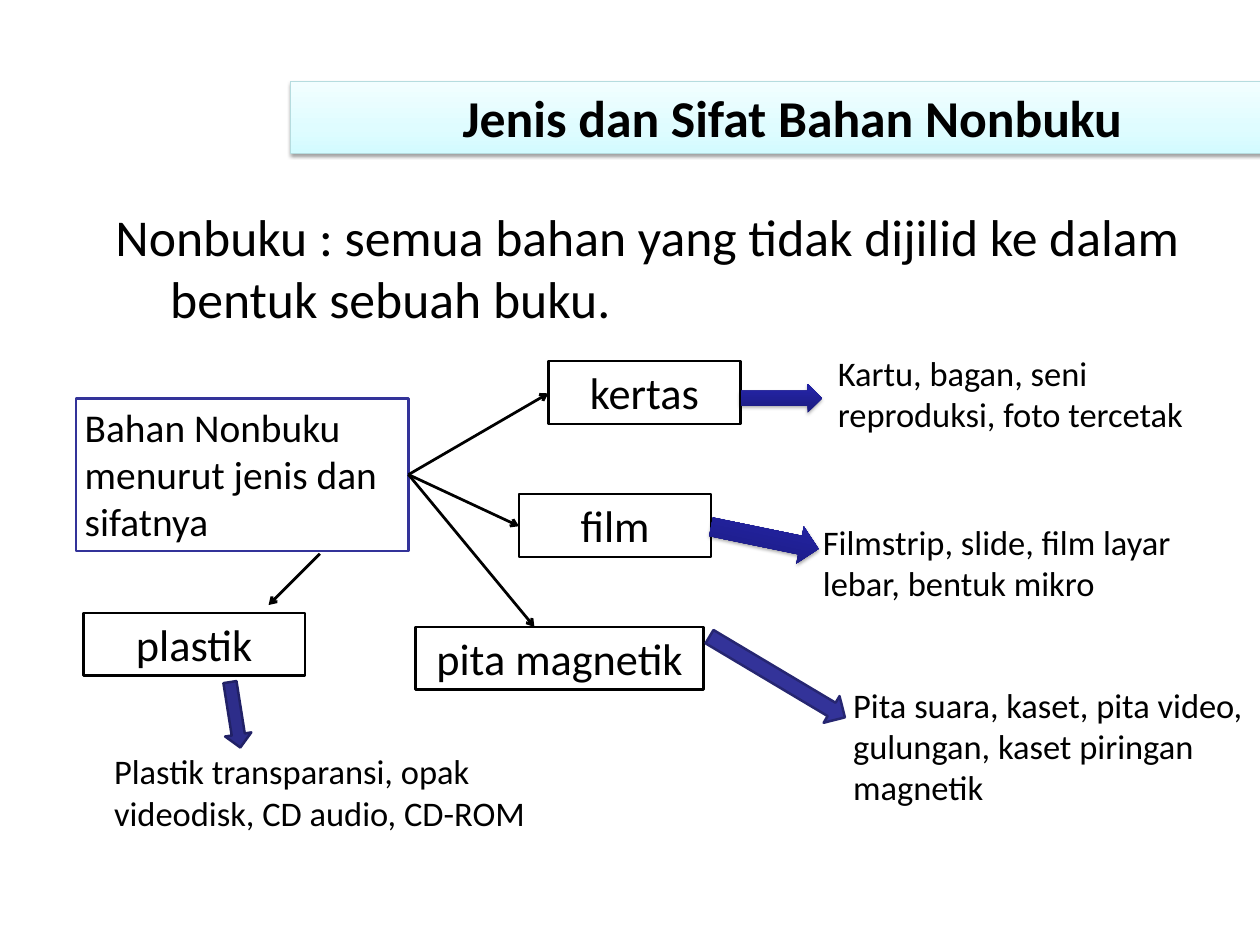
from copy import deepcopy

from lxml.etree import SubElement
from pptx import Presentation
from pptx.dml.color import RGBColor
from pptx.enum.shapes import MSO_CONNECTOR, MSO_SHAPE
from pptx.enum.text import MSO_ANCHOR, PP_ALIGN
from pptx.oxml.ns import qn
from pptx.util import Cm, Pt

FONT = "Calibri"
BLACK, WHITE, INDIGO = "000000", "FFFFFF", "333399"
PALE_CYAN = [(0, "D3FBFF"), (0.35, "DFFCFF"), (1, "F2FEFF")]
DEEP_BLUE = [(0, "1B1B7E"), (0.8, "2323A3"), (1, "2020A6")]


def color(hex_code):
    return RGBColor.from_string(hex_code)


def set_text(sp, text, size=28, bold=False, align=PP_ALIGN.LEFT):
    tf = sp.text_frame
    tf.word_wrap = True
    tf.vertical_anchor = MSO_ANCHOR.TOP
    p = tf.paragraphs[0]
    p.alignment = align
    r = p.add_run()
    r.text = text
    r.font.name = FONT
    r.font.size = Pt(size)
    r.font.bold = bold
    r.font.color.rgb = color(BLACK)
    return tf


def set_gradient(sp, stops):
    """Fill from the bottom edge to the top edge."""
    fill = sp.fill
    fill.gradient()
    fill.gradient_angle = 90
    gs_list = fill.gradient_stops[0]._gs.getparent()
    gs_list.append(deepcopy(gs_list[-1]))
    for stop, (position, hex_code) in zip(fill.gradient_stops, stops):
        stop.position = position
        stop.color.rgb = color(hex_code)


def add_shadow(sp, alpha, distance):
    effects = sp._element.spPr.find(qn("a:effectLst"))
    shadow = SubElement(effects, qn("a:outerShdw"), blurRad=str(Pt(3.1)),
                        dist=str(Pt(distance)), dir="5400000", rotWithShape="0")
    black = SubElement(shadow, qn("a:srgbClr"), val=BLACK)
    SubElement(black, qn("a:alpha"), val=str(alpha * 1000))


def add_shape(s, kind, box, fill, line=None, width=2):
    sp = s.shapes.add_shape(kind, *map(Cm, box))
    sp.shadow.inherit = False
    if isinstance(fill, list):
        set_gradient(sp, fill)
    else:
        sp.fill.solid()
        sp.fill.fore_color.rgb = color(fill)
    if line:
        sp.line.color.rgb = color(line)
        sp.line.width = Pt(width)
    else:
        sp.line.fill.background()
    return sp


def add_node(s, text, box, line=BLACK, size=36, align=PP_ALIGN.CENTER):
    sp = add_shape(s, MSO_SHAPE.RECTANGLE, box, WHITE, line)
    set_text(sp, text, size=size, align=align)


def add_label(s, text, box, **fmt):
    return set_text(s.shapes.add_textbox(*map(Cm, box)), text, **fmt)


def add_thin_arrow(s, start, end):
    line = s.shapes.add_connector(MSO_CONNECTOR.STRAIGHT, *map(Cm, start + end))
    line.line.color.rgb = color(BLACK)
    line.line.width = Pt(2.25)
    SubElement(line.line._get_or_add_ln(), qn("a:tailEnd"), type="arrow")
    SubElement(line._element.spPr, qn("a:effectLst"))


def add_block_arrow(s, box, rotation, fill, line=None):
    sp = add_shape(s, MSO_SHAPE.RIGHT_ARROW, box, fill, line)
    sp.rotation = rotation
    if not line:
        add_shadow(sp, 35, 1.8)


def main():
    prs = Presentation()
    prs.slide_width, prs.slide_height = Cm(36.12), Cm(27.1)
    s = prs.slides.add_slide(prs.slide_layouts[6])

    # Definition with a hanging indent
    tf = add_label(s, "Nonbuku : semua bahan yang tidak dijilid ke dalam "
                   "bentuk sebuah buku.", (2.39, 5.72, 33.02, 3.96), size=42)
    tf.margin_left = tf.margin_right = tf.margin_top = tf.margin_bottom = Cm(0.15)
    pPr = tf.paragraphs[0]._p.get_or_add_pPr()
    pPr.set("marL", str(Cm(2.34)))
    pPr.set("indent", str(Cm(-1.57)))

    # Title band
    band = add_shape(s, MSO_SHAPE.RECTANGLE, (8.33, 2.34, 28.78, 2.06),
                     PALE_CYAN, "B6DCDF", 0.75)
    add_shadow(band, 38, 1.6)
    set_text(band, "Jenis dan Sifat Bahan Nonbuku", size=42, bold=True,
             align=PP_ALIGN.CENTER)

    # Root and its four kinds of material
    add_node(s, "Bahan Nonbuku menurut jenis dan sifatnya",
             (2.18, 11.43, 9.53, 4.37), INDIGO, 32, PP_ALIGN.LEFT)
    for text, left, top, width in [
        ("kertas", 15.72, 10.36, 5.51),
        ("film", 14.88, 14.17, 5.51),
        ("plastik", 2.39, 17.58, 6.35),
        ("pita magnetik", 11.91, 17.98, 8.26),
    ]:
        add_node(s, text, (left, top, width, 1.8))

    # Examples of each kind
    for text, box in [
        ("Kartu, bagan, seni reproduksi, foto tercetak",
         (23.77, 9.96, 11.23, 2.64)),
        ("Filmstrip, slide, film layar lebar, bentuk mikro",
         (23.34, 14.81, 12.78, 2.64)),
        ("Pita suara, kaset, pita video, gulungan, kaset piringan magnetik",
         (24.21, 19.48, 12.78, 3.84)),
        ("Plastik transparansi, opak videodisk, CD audio, CD-ROM",
         (3.02, 21.39, 12.78, 3.84)),
    ]:
        add_label(s, text, box)

    # Root to kinds
    root_right = (11.71, 13.61)
    for end in [(15.72, 11.28), (14.88, 15.09), (15.32, 17.98)]:
        add_thin_arrow(s, root_right, end)
    add_thin_arrow(s, (9.17, 15.88), (7.7, 17.35))

    # Kinds to examples
    add_block_arrow(s, (21.23, 11, 2.34, 0.84), 0, DEEP_BLUE)
    add_block_arrow(s, (20.35, 14.88, 3.15, 1.09), 11.6, DEEP_BLUE)
    add_block_arrow(s, (20.02, 18.97, 4.52, 0.89), 30.8, INDIGO, "262671")
    add_block_arrow(s, (5.79, 20.12, 1.9, 0.76), 81, "2D2D8A", "212166")

    prs.save("out.pptx")


main()
